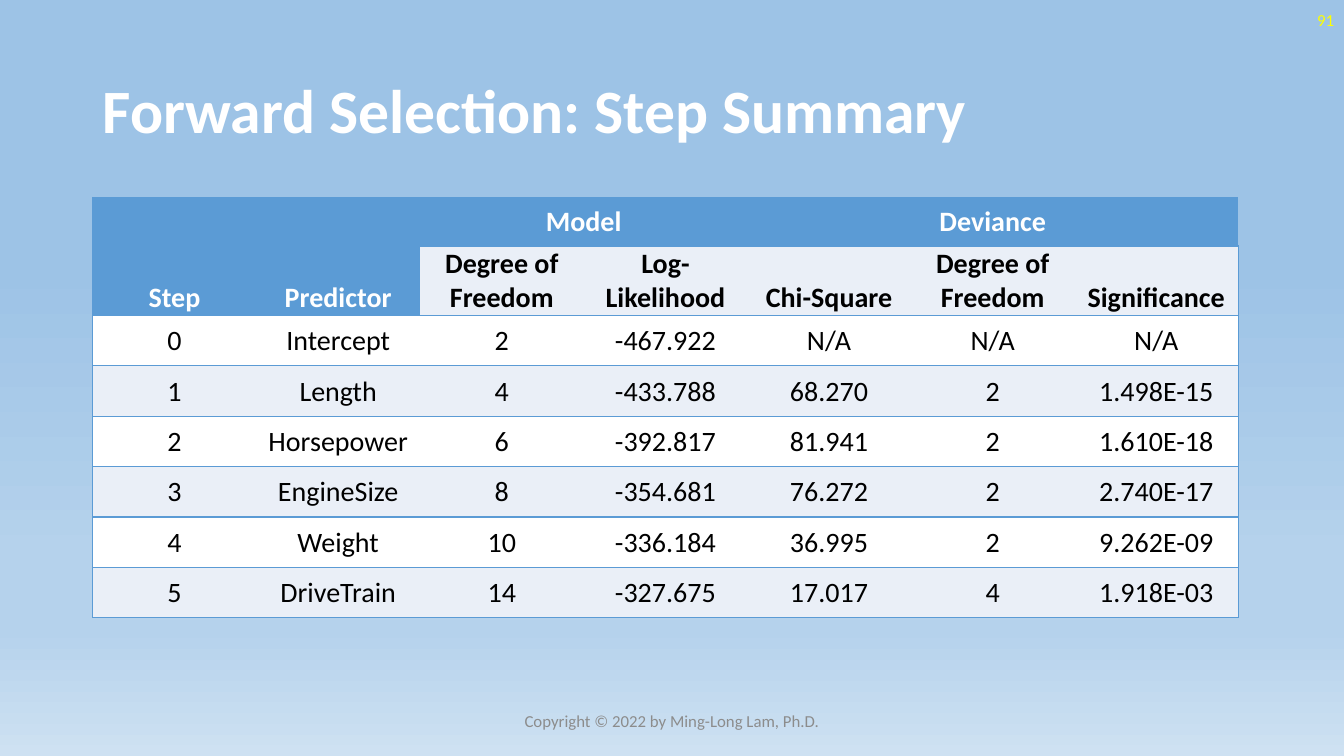
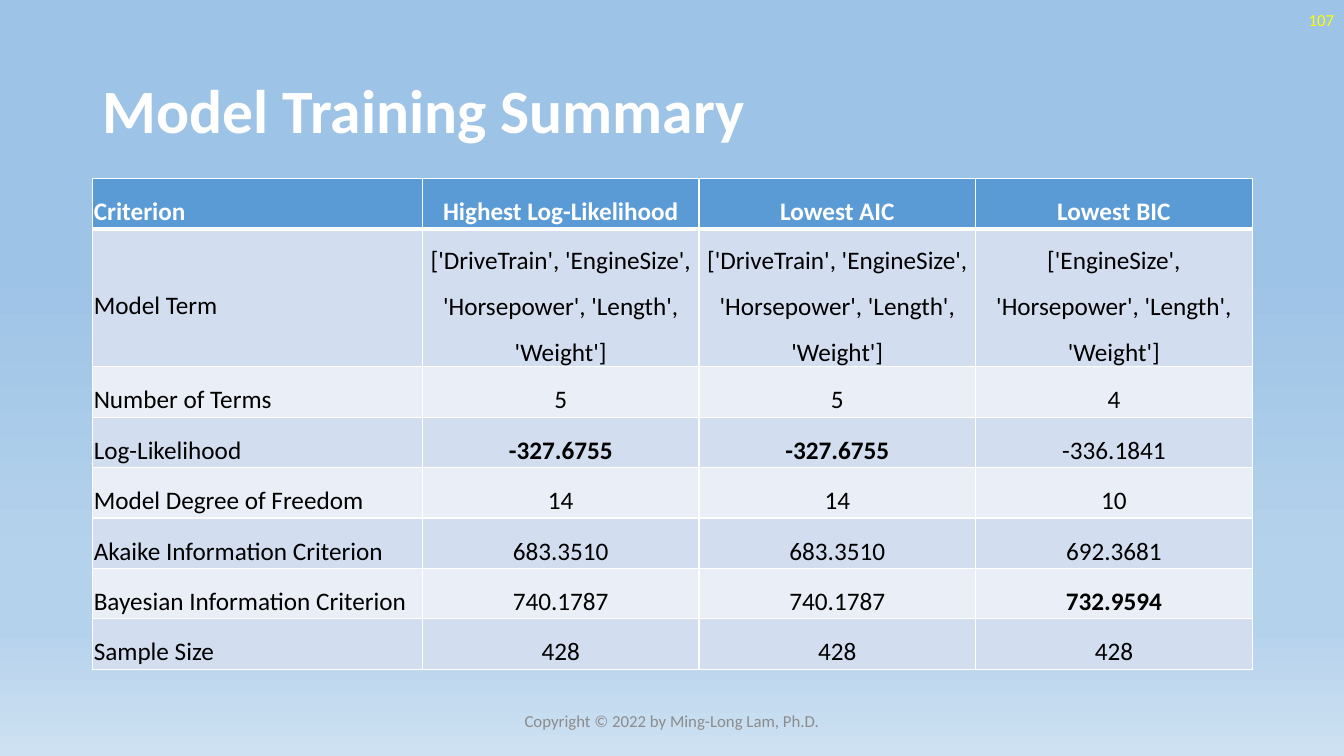
from lxml.etree import SubElement
from pptx import Presentation
from pptx.dml.color import RGBColor
from pptx.enum.text import MSO_ANCHOR as Anchor, PP_ALIGN as Align
from pptx.oxml.ns import qn
from pptx.util import Inches, Pt

COLORS = {
    "sky": "9DC3E6", "haze": "B5D2EC", "horizon": "CEE1F2",
    "header": "5B9BD5", "band": "D2DEEF", "pale": "EAEFF7",
    "white": "FFFFFF", "black": "000000", "gray": "8C8C8C", "yellow": "FFFF00",
}
FONT = "Calibri"
WIDTH, HEIGHT = 13.33, 7.5
MARGIN, CONTENT_WIDTH = 0.92, 11.5
PLAIN_TABLE = "{2D5ABB26-0587-4C30-8999-92F81FD0307C}"


def set_text(frame, text, size, color, bold=False, align=Align.CENTER,
             anchor=Anchor.MIDDLE, spacing=None):
    frame.word_wrap = True
    frame.vertical_anchor = anchor
    frame.text = text
    paragraph = frame.paragraphs[0]
    paragraph.alignment = align
    paragraph.line_spacing = spacing
    font = paragraph.font
    font.name, font.size, font.bold = FONT, Pt(size), bold
    font.color.rgb = RGBColor.from_string(COLORS[color])


def style_cell(cell, fill, line, edges):
    """Set insets, borders (edges maps L, R, T, B to a width) and fill."""
    cell.margin_left = cell.margin_right = cell.margin_top = Inches(0.01)
    cell.margin_bottom = 0
    properties = cell._tc.get_or_add_tcPr()
    for edge in "LRTB":
        if edge in edges:
            border = SubElement(properties, qn(f"a:ln{edge}"), w=str(Pt(edges[edge])))
            solid = SubElement(border, qn("a:solidFill"))
            SubElement(solid, qn("a:srgbClr"), val=COLORS[line])
    cell.fill.solid()
    cell.fill.fore_color.rgb = RGBColor.from_string(COLORS[fill])


prs = Presentation()
prs.slide_width, prs.slide_height = Inches(WIDTH), Inches(HEIGHT)

# Shared background: vertical gradient on the master
sky = prs.slide_master.background.fill
sky.gradient()
sky.gradient_angle = 270
stops = prs.slide_master.element.find(".//" + qn("a:gsLst"))
for stop in list(stops):
    stops.remove(stop)
for percent, shade in [(35, "sky"), (74, "haze"), (83, "haze"), (100, "horizon")]:
    stop = SubElement(stops, qn("a:gs"), pos=str(percent * 1000))
    SubElement(stop, qn("a:srgbClr"), val=COLORS[shade])

# Table contents; None marks a cell covered by a merged one
steps = [
    ["Step", "Predictor", "Model", None, "Deviance", None, None],
    [None, None, "Degree of Freedom", "Log-Likelihood", "Chi-Square",
     "Degree of Freedom", "Significance"],
    ["0", "Intercept", "2", "-467.922", "N/A", "N/A", "N/A"],
    ["1", "Length", "4", "-433.788", "68.270", "2", "1.498E-15"],
    ["2", "Horsepower", "6", "-392.817", "81.941", "2", "1.610E-18"],
    ["3", "EngineSize", "8", "-354.681", "76.272", "2", "2.740E-17"],
    ["4", "Weight", "10", "-336.184", "36.995", "2", "9.262E-09"],
    ["5", "DriveTrain", "14", "-327.675", "17.017", "4", "1.918E-03"],
]
all_terms = "['DriveTrain', 'EngineSize', 'Horsepower', 'Length', 'Weight']"
criteria = [
    ["Criterion", "Highest Log-Likelihood", "Lowest AIC", "Lowest BIC"],
    ["Model Term", all_terms, all_terms,
     "['EngineSize', 'Horsepower', 'Length', 'Weight']"],
    ["Number of Terms", "5", "5", "4"],
    ["Log-Likelihood", "-327.6755", "-327.6755", "-336.1841"],
    ["Model Degree of Freedom", "14", "14", "10"],
    ["Akaike Information Criterion", "683.3510", "683.3510", "692.3681"],
    ["Bayesian Information Criterion", "740.1787", "740.1787", "732.9594"],
    ["Sample Size", "428", "428", "428"],
]
best_values = {"-327.6755", "732.9594"}

# Title, page number, rows, top, column widths, row heights
pages = [
    ("Forward Selection: Step Summary", "91", steps, 1.96,
     [11.36 / 7] * 7, [0.48, 0.69] + [0.5] * 6),
    ("Model Training Summary", "107", criteria, 1.77,
     [3.27] + [(CONTENT_WIDTH - 3.27) / 3] * 3, [0.5, 1.37] + [0.5] * 6),
]

# Frame of each slide: title, page number, copyright, empty table
tables = []
for heading, number, rows, top, widths, heights in pages:
    slide = prs.slides.add_slide(prs.slide_layouts[5])
    title = slide.shapes.title
    title.left, title.top = Inches(MARGIN), Inches(0.4)
    title.width, title.height = Inches(CONTENT_WIDTH), Inches(1.45)
    set_text(title.text_frame, heading, 44, "white", True, Align.LEFT, spacing=0.9)

    for text, left, y, width, color, align in [
        (number, WIDTH - 3, 0, 3, "yellow", Align.RIGHT),
        ("Copyright © 2022 by Ming-Long Lam, Ph.D.", (WIDTH - 4.5) / 2, 6.95, 4.5,
         "gray", Align.CENTER),
    ]:
        label = slide.shapes.add_textbox(Inches(left), Inches(y), Inches(width), Inches(0.4))
        set_text(label.text_frame, text, 12, color, align=align)

    frame = slide.shapes.add_table(
        len(rows), len(widths), Inches(MARGIN), Inches(top),
        Inches(sum(widths)), Inches(sum(heights)))
    table = frame.table
    table._tbl.tblPr.find(qn("a:tableStyleId")).text = PLAIN_TABLE
    table.first_row = table.horz_banding = False
    for column, width in zip(table.columns, widths):
        column.width = Inches(width)
    for row, height in zip(table.rows, heights):
        row.height = Inches(height)
    tables.append(table)
step_table, criteria_table = tables

# Step summary: two header rows, blue rules and outline
for r, row in enumerate(steps):
    for c, text in enumerate(row):
        cell = step_table.cell(r, c)
        on_blue = r == 0 or (r == 1 and c < 2)
        edges = {"T": 1, "B": 1}
        if c == 0:
            edges["L"] = 1
        if c == len(row) - 1:
            edges["R"] = 1
        fill = "header" if on_blue else "pale" if r % 2 else "white"
        style_cell(cell, fill, "header", edges)
        low = r == 1 or (r == 0 and c < 2)
        cell.vertical_anchor = Anchor.BOTTOM if low else Anchor.MIDDLE
        if text:
            set_text(cell.text_frame, text, 20, "white" if on_blue else "black",
                     bold=r < 2, anchor=cell.vertical_anchor)
for first, last in [((0, 0), (1, 0)), ((0, 1), (1, 1)), ((0, 2), (0, 3)), ((0, 4), (0, 6))]:
    step_table.cell(*first).merge(step_table.cell(*last))

# Training summary: banded rows, white grid, best values in bold
for r, row in enumerate(criteria):
    for c, text in enumerate(row):
        cell = criteria_table.cell(r, c)
        fill = "header" if r == 0 else "band" if r % 2 else "pale"
        edges = {"L": 1, "R": 1, "T": 3 if r == 1 else 1, "B": 3 if r == 0 else 1}
        style_cell(cell, fill, "white", edges)
        cell.vertical_anchor = Anchor.MIDDLE
        set_text(cell.text_frame, text, 18, "black" if r else "white",
                 bold=r == 0 or text in best_values,
                 align=Align.CENTER if c else Align.LEFT, spacing=1.5)

# The anchor of a cell belongs to the cell, not to its text body
for table in tables:
    for cell in table.iter_cells():
        body = cell.text_frame._txBody.find(qn("a:bodyPr"))
        body.attrib.clear()

prs.save("out.pptx")
